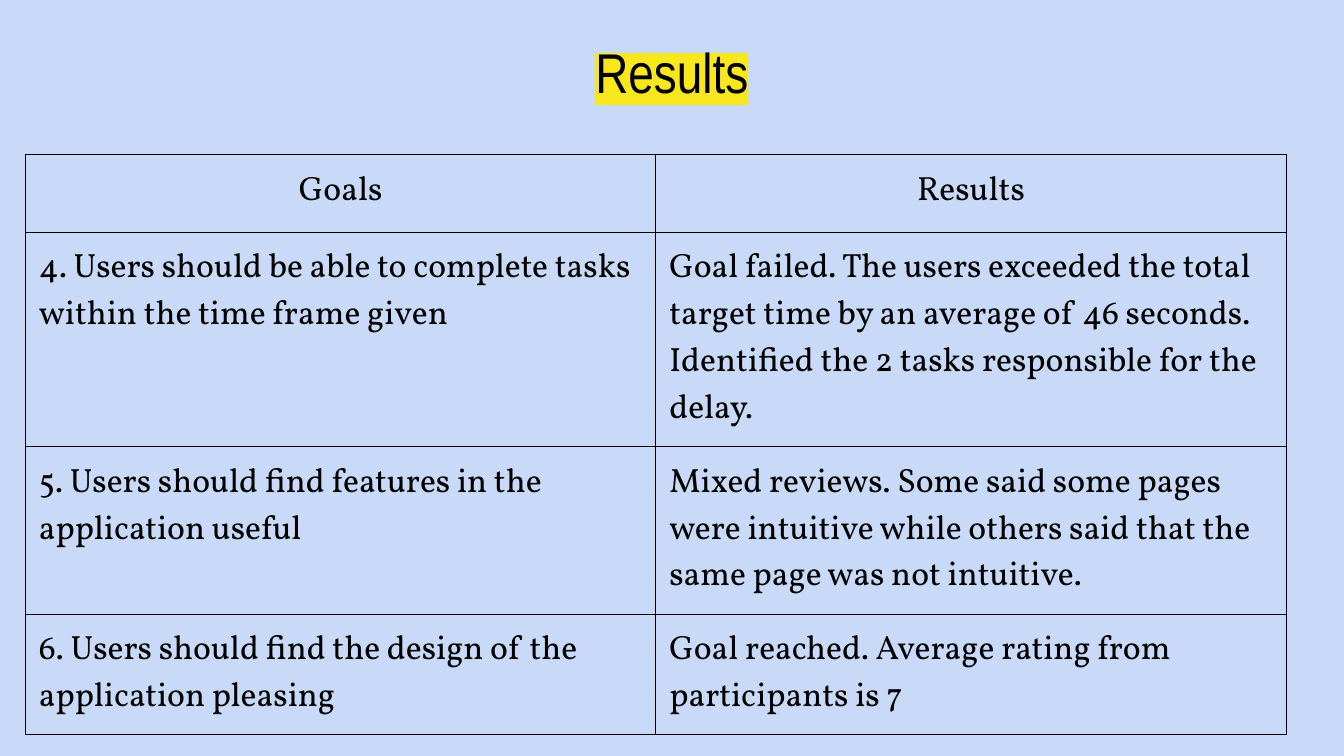
from lxml import etree
from pptx import Presentation
from pptx.dml.color import RGBColor
from pptx.enum.text import MSO_ANCHOR, PP_ALIGN
from pptx.oxml.ns import qn
from pptx.util import Inches, Pt

CENTER = PP_ALIGN.CENTER
LEFT = PP_ALIGN.LEFT
TOP = MSO_ANCHOR.TOP

COLORS = {
    "background": "C9DAF8",
    "text": "000000",
    "border": "000000",
    "highlight": "F8E71C",
}
TITLE_FONT = "Arial Narrow"
TABLE_FONT = "Vollkorn"

MARGIN = Inches(0.1)
COLUMN_WIDTH = 4.69
ROW_HEIGHTS = [0.58, 0.72, 0.72, 0.63]
ROWS = [
    ("Goals", "Results"),
    ("4. Users should be able to complete tasks within the time frame given",
     "Goal failed. The users exceeded the total target time by an average of "
     "46 seconds. Identified the 2 tasks responsible for the delay."),
    ("5. Users should find features in the application useful",
     "Mixed reviews. Some said some pages were intuitive while others said "
     "that the same page was not intuitive."),
    ("6. Users should find the design of the application pleasing",
     "Goal reached. Average rating from participants is 7"),
]


def add_run(paragraph, text, font_name, size):
    run = paragraph.add_run()
    run.text = text
    run.font.name = font_name
    run.font.size = Pt(size)
    run.font.color.rgb = RGBColor.from_string(COLORS["text"])
    return run


def add_color_child(parent, tag, color):
    """Append a child holding a colour, and return the child."""
    child = etree.SubElement(parent, qn(tag))
    etree.SubElement(child, qn("a:srgbClr"), val=color)
    return child


def highlight(run, color):
    """Mark the run's background; the element belongs right after the fill."""
    properties = run.font._element
    mark = add_color_child(properties, "a:highlight", color)
    properties.find(qn("a:solidFill")).addnext(mark)


def set_margins(holder):
    holder.margin_left = holder.margin_right = MARGIN
    holder.margin_top = holder.margin_bottom = MARGIN
    holder.vertical_anchor = TOP


def set_borders(cell):
    properties = cell._tc.get_or_add_tcPr()
    for position, side in enumerate(("a:lnL", "a:lnR", "a:lnT", "a:lnB")):
        line = etree.Element(qn(side), w=str(Pt(0.75)))
        add_color_child(line, "a:solidFill", COLORS["border"])
        properties.insert(position, line)


def add_title(slide, text):
    box = slide.shapes.add_textbox(Inches(0), Inches(0.18), Inches(10), Inches(0.65))
    frame = box.text_frame
    frame.word_wrap = True
    set_margins(frame)
    paragraph = frame.paragraphs[0]
    paragraph.alignment = CENTER
    highlight(add_run(paragraph, text, TITLE_FONT, 30), COLORS["highlight"])


def fill_cell(cell, text, alignment):
    cell.fill.background()
    set_margins(cell)
    paragraph = cell.text_frame.paragraphs[0]
    paragraph.alignment = alignment
    add_run(paragraph, text, TABLE_FONT, 18)
    set_borders(cell)


def add_goal_table(slide):
    column_count = len(ROWS[0])
    table = slide.shapes.add_table(
        len(ROWS), column_count, Inches(0.19), Inches(1.15),
        Inches(COLUMN_WIDTH * column_count), Inches(sum(ROW_HEIGHTS))).table
    table.horz_banding = False
    table.first_row = False
    for column in table.columns:
        column.width = Inches(COLUMN_WIDTH)
    for row_index, (height, texts) in enumerate(zip(ROW_HEIGHTS, ROWS)):
        table.rows[row_index].height = Inches(height)
        alignment = CENTER if row_index == 0 else LEFT
        for column_index, text in enumerate(texts):
            fill_cell(table.cell(row_index, column_index), text, alignment)


def main():
    presentation = Presentation()
    presentation.slide_width = Inches(10)
    presentation.slide_height = presentation.slide_width * 9 // 16
    slide = presentation.slides.add_slide(presentation.slide_layouts[6])
    background = slide.background.fill
    background.solid()
    background.fore_color.rgb = RGBColor.from_string(COLORS["background"])
    add_goal_table(slide)
    add_title(slide, "Results")
    presentation.save("out.pptx")


if __name__ == "__main__":
    main()
